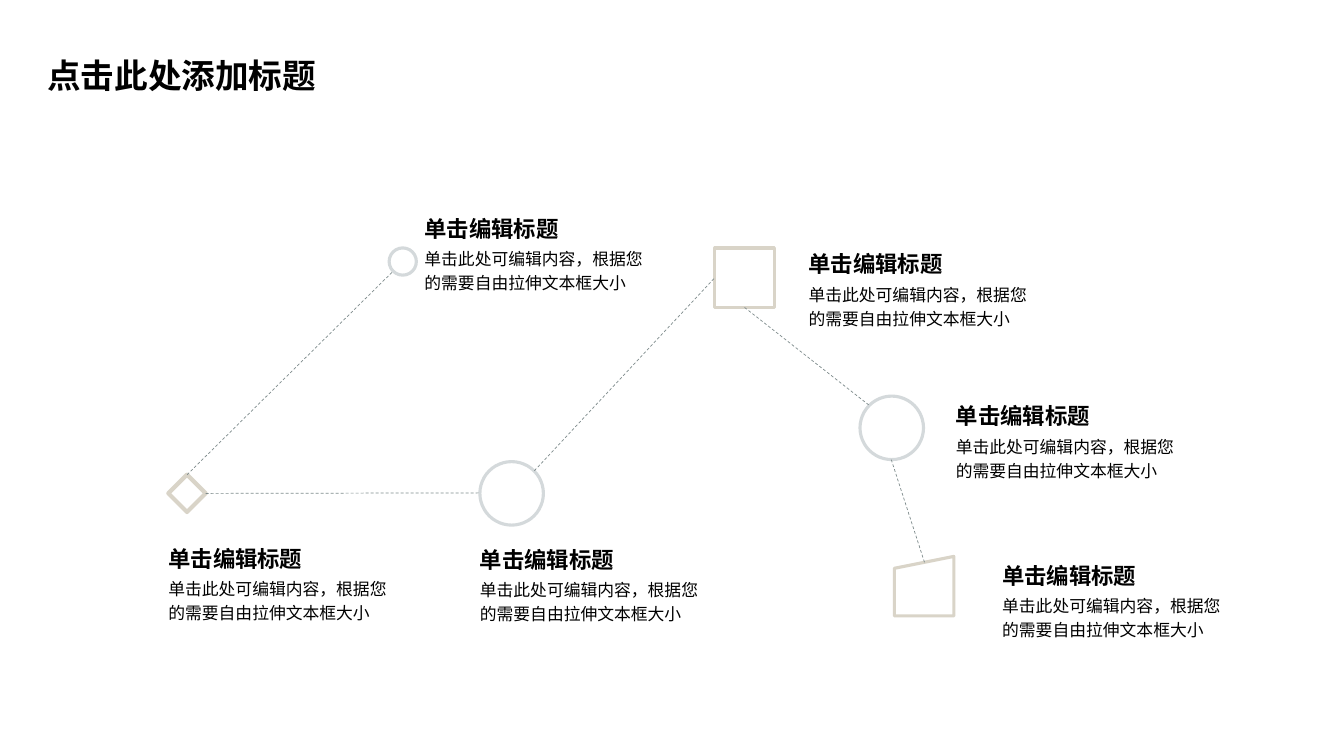
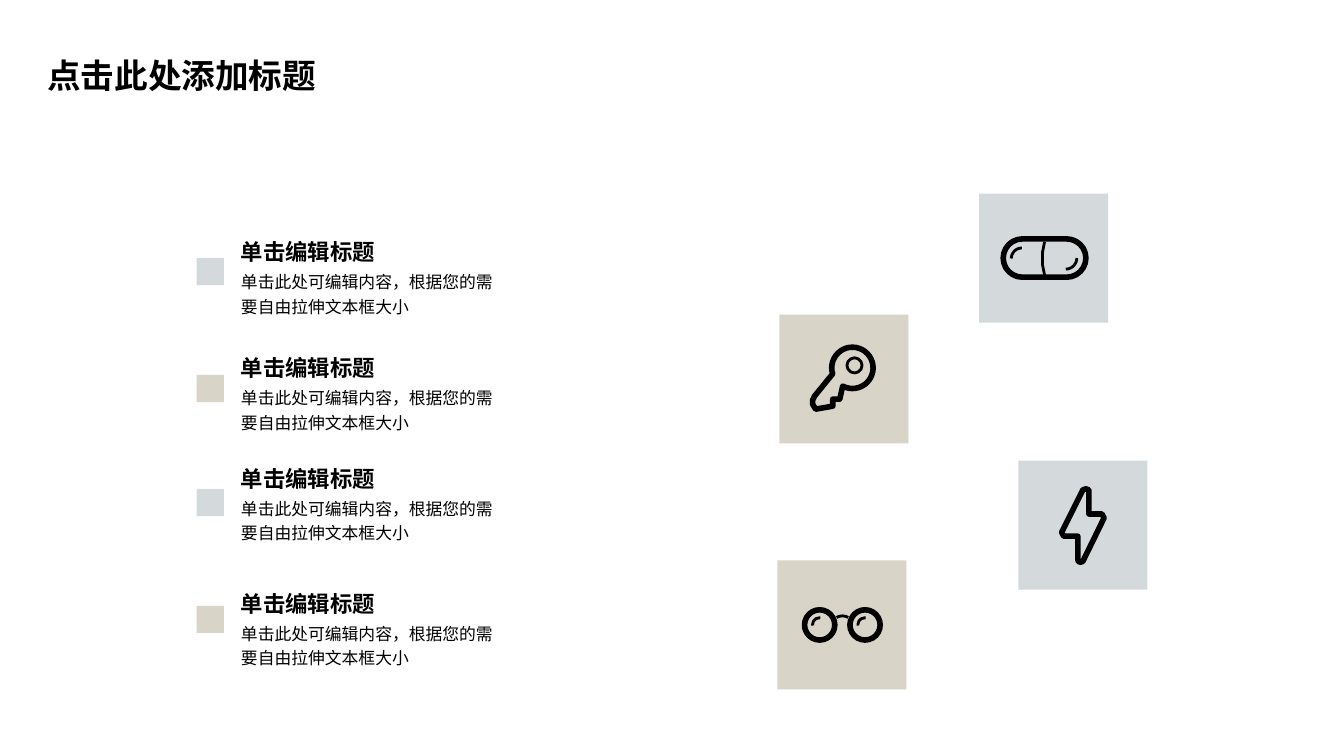
"""Build two template slides: a path of linked outlines and a list beside icon tiles."""
from dataclasses import dataclass
from math import cos, radians, sin

from lxml.etree import SubElement
from pptx import Presentation
from pptx.dml.color import RGBColor
from pptx.enum.dml import MSO_LINE_DASH_STYLE as Dash
from pptx.enum.shapes import MSO_CONNECTOR as Connector, MSO_SHAPE as Preset
from pptx.enum.text import MSO_AUTO_SIZE as AutoSize, PP_ALIGN as Align
from pptx.oxml.ns import qn
from pptx.util import Inches, Pt

BLACK = RGBColor(0x00, 0x00, 0x00)
MIST = RGBColor(0xD4, 0xD9, 0xDB)
SAND = RGBColor(0xD9, 0xD4, 0xC8)
SLATE = RGBColor(0x7F, 0x8C, 0x8D)
TITLE_FONT = "Noto Sans CJK SC"
BODY_FONT = "Arial"

TITLE = "点击此处添加标题"
HEADING = "单击编辑标题"
BODY = "单击此处可编辑内容，根据您的需要自由拉伸文本框大小"
LEADING = 1.44
THICK, THIN = 4, 2
TILE, MARKER = 1.28, 0.27

Point = tuple[float, float]


@dataclass(frozen=True)
class Node:
    """An outlined figure on the path."""
    kind: Preset
    left: float
    top: float
    size: float
    color: RGBColor
    width: float = 2.25


@dataclass(frozen=True)
class Anchor:
    """A connection site on a named node."""
    node: str
    site: int


@dataclass(frozen=True)
class Stroke:
    """A preset outline that forms part of an icon."""
    kind: Preset
    left: float
    top: float
    width: float
    height: float
    weight: float = THICK
    adjustments: tuple[float, ...] = ()


@dataclass(frozen=True)
class Trace:
    """A drawn outline that forms part of an icon."""
    points: tuple[Point, ...]
    closed: bool = True
    weight: float = THICK


NODES = {
    "diamond": Node(Preset.DIAMOND, 1.67, 4.71, 0.37, SAND, 3),
    "dot": Node(Preset.OVAL, 3.86, 2.46, 0.27, MIST),
    "ring": Node(Preset.OVAL, 4.76, 4.58, 0.63, MIST),
    "square": Node(Preset.RECTANGLE, 7.09, 2.46, 0.59, SAND),
    "circle": Node(Preset.OVAL, 8.53, 3.93, 0.63, MIST),
    "slope": Node(Preset.FLOWCHART_MANUAL_INPUT, 8.87, 5.52, 0.59, SAND),
}
LINKS = (
    (Anchor("diamond", 0), (3.9, 2.69)),
    (Anchor("diamond", 3), (4.76, 4.89)),
    ((5.3, 4.67), Anchor("square", 1)),
    (Anchor("square", 2), (8.62, 4.02)),
    ((8.84, 4.56), (9.17, 5.58)),
)
PATH_CAPTIONS = ((4.21, 2.08), (1.67, 5.35), (4.76, 5.36),
                 (8.02, 2.43), (9.48, 3.94), (9.94, 5.52))
TILES = ((9.71, 1.92), (7.73, 3.12), (10.1, 4.57), (7.71, 5.56))
LIST_ROWS = ((2.56, 2.31), (3.72, 3.46), (4.85, 4.56), (6.01, 5.8))


def arc(left: float, top: float, width: float, height: float,
        start: float, end: float) -> Stroke:
    """Return a thin arc between two angles in degrees."""
    return Stroke(Preset.ARC, left, top, width, height, THIN,
                  (start * 0.6, end * 0.6))


def key_outline() -> tuple[Point, ...]:
    """Return the key's round bow followed by its toothed blade."""
    bow = tuple((8.455 + 0.205 * cos(radians(angle)),
                 3.65 + 0.205 * sin(radians(angle)))
                for angle in range(118, -206, -9))
    blade = ((8.08, 3.93), (8.06, 3.97), (8.06, 4.01), (8.09, 4.06),
             (8.26, 4.03), (8.26, 3.96), (8.33, 3.96))
    return bow + blade


PILL = (
    Stroke(Preset.ROUNDED_RECTANGLE, 9.95, 2.37, 0.82, 0.38, THICK, (0.5,)),
    Trace(((10.36, 2.4), (10.34, 2.5), (10.34, 2.63), (10.36, 2.73)), False, THIN),
    arc(10.03, 2.46, 0.21, 0.21, 180, 270),
    arc(10.46, 2.45, 0.22, 0.22, 0, 90),
)
KEY = (
    Trace(key_outline()),
    Stroke(Preset.OVAL, 8.4, 3.55, 0.15, 0.15, THIN),
)
BOLT = (
    Trace(((10.77, 4.85), (10.8, 4.86), (10.8, 5.1), (10.93, 5.1),
           (10.95, 5.14), (10.74, 5.57), (10.71, 5.58), (10.69, 5.56),
           (10.69, 5.32), (10.55, 5.32), (10.53, 5.28), (10.74, 4.86))),
)
LENSES = tuple(
    part for left in (7.98, 8.43)
    for part in (Stroke(Preset.OVAL, left, 6.05, 0.3, 0.3),
                 arc(left + 0.08, 6.13, 0.13, 0.13, 170, 280)))
GLASSES = LENSES + (arc(8.28, 6.11, 0.15, 0.1, 210, 330),)


def add_text(slide, text: str, left: float, top: float, width: float,
             height: float, *, size: float, font: str = BODY_FONT,
             bold: bool = False, inset: bool = False, leading: float = 0) -> None:
    """Add a wrapped box holding one formatted paragraph."""
    box = slide.shapes.add_textbox(
        Inches(left), Inches(top), Inches(width), Inches(height))
    frame = box.text_frame
    frame.word_wrap = True
    frame.auto_size = AutoSize.SHAPE_TO_FIT_TEXT
    if not inset:
        frame.margin_left = frame.margin_right = 0
        frame.margin_top = frame.margin_bottom = 0
    para = frame.paragraphs[0]
    para.alignment = Align.LEFT
    if leading:
        para.line_spacing = Pt(size * leading)
    span = para.add_run()
    span.text = text
    span.font.name = font
    span.font.size = Pt(size)
    span.font.bold = bold
    span.font.color.rgb = BLACK
    SubElement(span.font._element, qn("a:ea")).set("typeface", font)


def add_caption(slide, left: float, top: float, width: float) -> None:
    """Add a bold heading with its body text below."""
    add_text(slide, HEADING, left, top, 1.42, 0.32,
             size=16, bold=True, leading=LEADING)
    add_text(slide, BODY, left, top + 0.35, width, 0.48,
             size=12, leading=LEADING)


def style_outline(shape, color: RGBColor, width: float) -> None:
    """Give a shape a plain line and no fill."""
    shape.shadow.inherit = False
    shape.fill.background()
    shape.line.color.rgb = color
    shape.line.width = Pt(width)


def add_square(slide, left: float, top: float, size: float,
               color: RGBColor) -> None:
    """Add a filled square without a line."""
    shape = slide.shapes.add_shape(
        Preset.RECTANGLE, Inches(left), Inches(top), Inches(size), Inches(size))
    shape.shadow.inherit = False
    shape.fill.solid()
    shape.fill.fore_color.rgb = color
    shape.line.fill.background()


def add_node(slide, node: Node):
    """Add one figure of the path and return it."""
    shape = slide.shapes.add_shape(
        node.kind, Inches(node.left), Inches(node.top),
        Inches(node.size), Inches(node.size))
    style_outline(shape, node.color, node.width)
    return shape


def add_link(slide, shapes: dict, start: Anchor | Point,
             end: Anchor | Point) -> None:
    """Add a dashed connector between anchors or free points."""
    ends = [(0, 0) if isinstance(spot, Anchor) else spot for spot in (start, end)]
    link = slide.shapes.add_connector(
        Connector.STRAIGHT, *(Inches(value) for spot in ends for value in spot))
    for spot, join in ((start, link.begin_connect), (end, link.end_connect)):
        if isinstance(spot, Anchor):
            join(shapes[spot.node], spot.site)
    link.line.color.rgb = SLATE
    link.line.width = Pt(0.5)
    link.line.dash_style = Dash.DASH
    SubElement(link._element.spPr, qn("a:effectLst"))


def add_icon(slide, parts: tuple[Stroke | Trace, ...]) -> None:
    """Draw an icon from its outlines with rounded corners."""
    for part in parts:
        if isinstance(part, Trace):
            points = [(Inches(x), Inches(y)) for x, y in part.points]
            builder = slide.shapes.build_freeform(*points[0])
            builder.add_line_segments(points[1:], close=part.closed)
            shape = builder.convert_to_shape()
        else:
            shape = slide.shapes.add_shape(
                part.kind, Inches(part.left), Inches(part.top),
                Inches(part.width), Inches(part.height))
            for index, value in enumerate(part.adjustments):
                shape.adjustments[index] = value
        style_outline(shape, BLACK, part.weight)
        SubElement(shape.line._get_or_add_ln(), qn("a:round"))


def add_page(deck):
    """Add a blank page with the shared title."""
    page = deck.slides.add_slide(deck.slide_layouts[6])
    add_text(page, TITLE, 0.37, 0.5, 3.01, 0.5,
             size=24, font=TITLE_FONT, bold=True, inset=True)
    return page


def build_path_page(deck) -> None:
    """Build the page of linked figures."""
    page = add_page(deck)
    shapes = {name: add_node(page, node) for name, node in NODES.items()}
    for start, end in LINKS:
        add_link(page, shapes, start, end)
    for left, top in PATH_CAPTIONS:
        add_caption(page, left, top, 2.3)


def build_icon_page(deck) -> None:
    """Build the page with a list and four icon tiles."""
    page = add_page(deck)
    colors = (MIST, SAND) * 2
    for (left, top), color in zip(TILES, colors):
        add_square(page, left, top, TILE, color)
    for icon in (PILL, KEY, BOLT, GLASSES):
        add_icon(page, icon)
    for (marker_top, caption_top), color in zip(LIST_ROWS, colors):
        add_square(page, 1.95, marker_top, MARKER, color)
        add_caption(page, 2.39, caption_top, 2.55)


def main() -> None:
    """Build and save the deck."""
    deck = Presentation()
    deck.slide_width, deck.slide_height = Inches(13.33), Inches(7.5)
    build_path_page(deck)
    build_icon_page(deck)
    deck.save("out.pptx")


if __name__ == "__main__":
    main()
